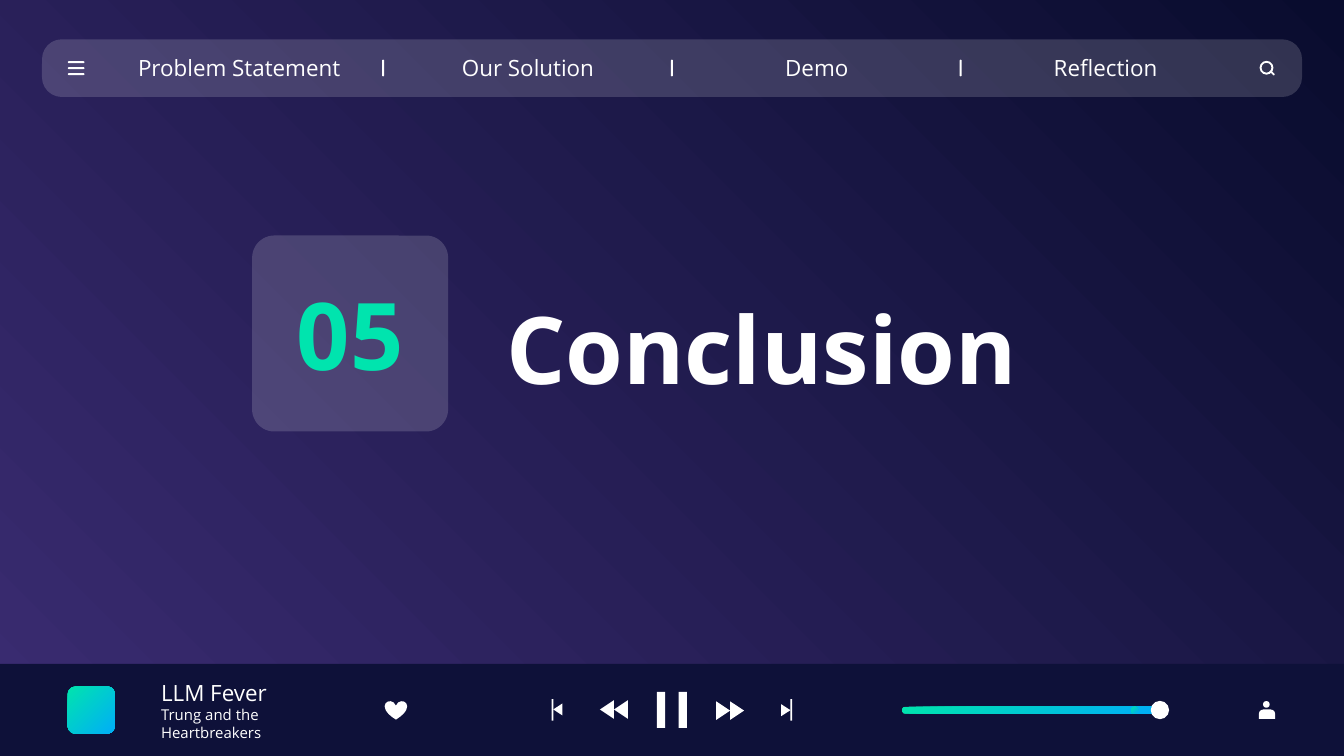
from dataclasses import dataclass

from lxml import etree
from pptx import Presentation
from pptx import util as u
from pptx.dml import color
from pptx.enum import shapes, text
from pptx.oxml import ns


@dataclass(frozen=True)
class Theme:
    font: str = "Open Sans"
    white: str = "FFFFFF"
    green: str = "00E4AE"
    blue: str = "00AEF8"
    bar: str = "0E1139"
    purple: str = "3B2C72"
    night: str = "090C2E"
    glass: int = 16
    heading: int = 50
    label: int = 12
    small: int = 8


theme = Theme()
kinds = shapes.MSO_SHAPE

# Content; boxes are left, top, width, height in points
sections = ["Problem Statement", "Our Solution", "Demo", "Reflection"]
number, title = "05", "Conclusion"
song, artist = "LLM Fever", "Trung and the Heartbreakers"

number_box = (135.1, 126.2, 105, 105)
title_box = (264.2, 126, 321.1, 120.2)
song_box = (79.2, 367.9, 108.7, 25.2)
nav_left, nav_step, nav_width = 56.2, 154.7, 144
divider_left = 204.7

heart = (206.1, 375.5, 12, 10)
pause_bars = [(351.9, 370.7, 4.4, 19.3), (363.6, 370.7, 4.4, 19.3)]
skip_bars = [(295.5, 374.5, 1, 11.6), (423.4, 374.5, 1, 11.6)]
person = [(kinds.OVAL, (676.6, 375.6, 3.6, 3.6)),
          (kinds.ROUND_2_SAME_RECTANGLE, (674.4, 380.1, 8.8, 5))]
# Base x, tip x, middle y, half height
triangles = [(301.3, 296.4, 380.1, 3.2), (336.4, 328.9, 380.1, 5),
             (328.9, 321.4, 380.1, 5), (383.6, 391.1, 380.7, 5),
             (391.1, 398.6, 380.7, 5), (418.5, 423.5, 380.5, 3.2)]

track = (483.1, 378.6, 143.3, 3.8)
progress = (483.1, 378.6, 138.2, 3.8)
progress_dot = (606, 378.6, 3.8, 3.8)
knob = (616.5, 375.5, 9.8, 9.8)


def points(values):
    return [u.Pt(value) for value in values]


def gradient(fill, colors, angle):
    """Fill from the first to the second colour, angle counter-clockwise."""
    fill.gradient()
    fill.gradient_angle = angle
    for stop, value in zip(fill.gradient_stops, colors):
        stop.color.rgb = color.RGBColor.from_string(value)


def paint(shape, fill, alpha=None):
    """Fill with one colour or a pair of gradient colours, without a line."""
    shape.shadow.inherit = False
    shape.line.fill.background()
    if isinstance(fill, tuple):
        gradient(shape.fill, fill, 315)
        return
    shape.fill.solid()
    shape.fill.fore_color.rgb = color.RGBColor.from_string(fill)
    if alpha is not None:
        value = shape.fill._xPr.find(".//" + ns.qn("a:srgbClr"))
        etree.SubElement(value, ns.qn("a:alpha")).set("val", str(alpha * 1000))


def add_preset(page, kind, box, fill=theme.white, alpha=None, adjust=None):
    shape = page.shapes.add_shape(kind, *points(box))
    if adjust is not None:
        shape.adjustments[0] = adjust
    paint(shape, fill, alpha)
    return shape


def add_rounded(page, box, fill=theme.white, alpha=None, adjust=0.5):
    return add_preset(page, kinds.ROUNDED_RECTANGLE, box, fill, alpha, adjust)


def add_triangle(page, base, tip, middle, half):
    builder = page.shapes.build_freeform(u.Pt(base), u.Pt(middle - half))
    corners = [(tip, middle), (base, middle + half)]
    builder.add_line_segments([points(corner) for corner in corners])
    paint(builder.convert_to_shape(), theme.white)


def add_text(page, box, lines, align=text.PP_ALIGN.LEFT, bold=False, tint=theme.white):
    """Write one paragraph for each (wording, size) pair."""
    frame = page.shapes.add_textbox(*points(box)).text_frame
    frame.word_wrap = True
    frame.vertical_anchor = text.MSO_ANCHOR.MIDDLE
    frame.margin_left = frame.margin_right = u.Pt(7.2)
    frame.margin_top = frame.margin_bottom = u.Pt(7.2)
    for index, (wording, size) in enumerate(lines):
        para = frame.add_paragraph() if index else frame.paragraphs[0]
        para.alignment = align
        span = para.add_run()
        span.text = wording
        span.font.name = theme.font
        span.font.size = u.Pt(size)
        span.font.bold = bold
        span.font.color.rgb = color.RGBColor.from_string(tint)


def add_navigation(page):
    add_rounded(page, (22.5, 21.1, 675, 30.9), alpha=theme.glass, adjust=0.344)
    for index in range(3):
        add_rounded(page, (36.4, 32.8 + 3.2 * index, 8.9, 1))
        add_rounded(page, (divider_left + nav_step * index, 32, 1.1, 8.9))
    add_preset(page, kinds.DONUT, (674.8, 32.6, 7.4, 7.4), adjust=0.14)
    handle = add_rounded(page, (680, 38.6, 3.2, 1))
    handle.rotation = 45
    for index, section in enumerate(sections):
        box = (nav_left + nav_step * index, 23.8, nav_width, 25.2)
        add_text(page, box, [(section, theme.label)], text.PP_ALIGN.CENTER)


def add_player(page):
    accent = (theme.green, theme.blue)
    add_preset(page, kinds.RECTANGLE, (0, 355.7, 720, 49.3), theme.bar)
    add_preset(page, kinds.HEART, heart)
    add_rounded(page, (36.2, 367.7, 25.4, 25.4), accent, adjust=0.167)
    for box in pause_bars + skip_bars:
        add_preset(page, kinds.RECTANGLE, box)
    for triangle in triangles:
        add_triangle(page, *triangle)
    for kind, box in person:
        add_preset(page, kind, box, adjust=None if kind == kinds.OVAL else 0.5)
    add_text(page, song_box, [(song, theme.label), (artist, theme.small)])
    add_rounded(page, track, alpha=theme.glass)
    add_rounded(page, progress, accent)
    add_rounded(page, progress_dot, accent)
    add_preset(page, kinds.OVAL, knob)


def main():
    deck = Presentation()
    deck.slide_width, deck.slide_height = u.Pt(720), u.Pt(405)
    page = deck.slides.add_slide(deck.slide_layouts[6])
    gradient(page.background.fill, (theme.purple, theme.night), 45)
    add_player(page)
    add_navigation(page)
    add_rounded(page, number_box, alpha=theme.glass, adjust=0.113)
    add_text(page, title_box, [(title, theme.heading)], bold=True)
    add_text(page, number_box, [(number, theme.heading)],
             text.PP_ALIGN.CENTER, bold=True, tint=theme.green)
    deck.save("out.pptx")


if __name__ == "__main__":
    main()
